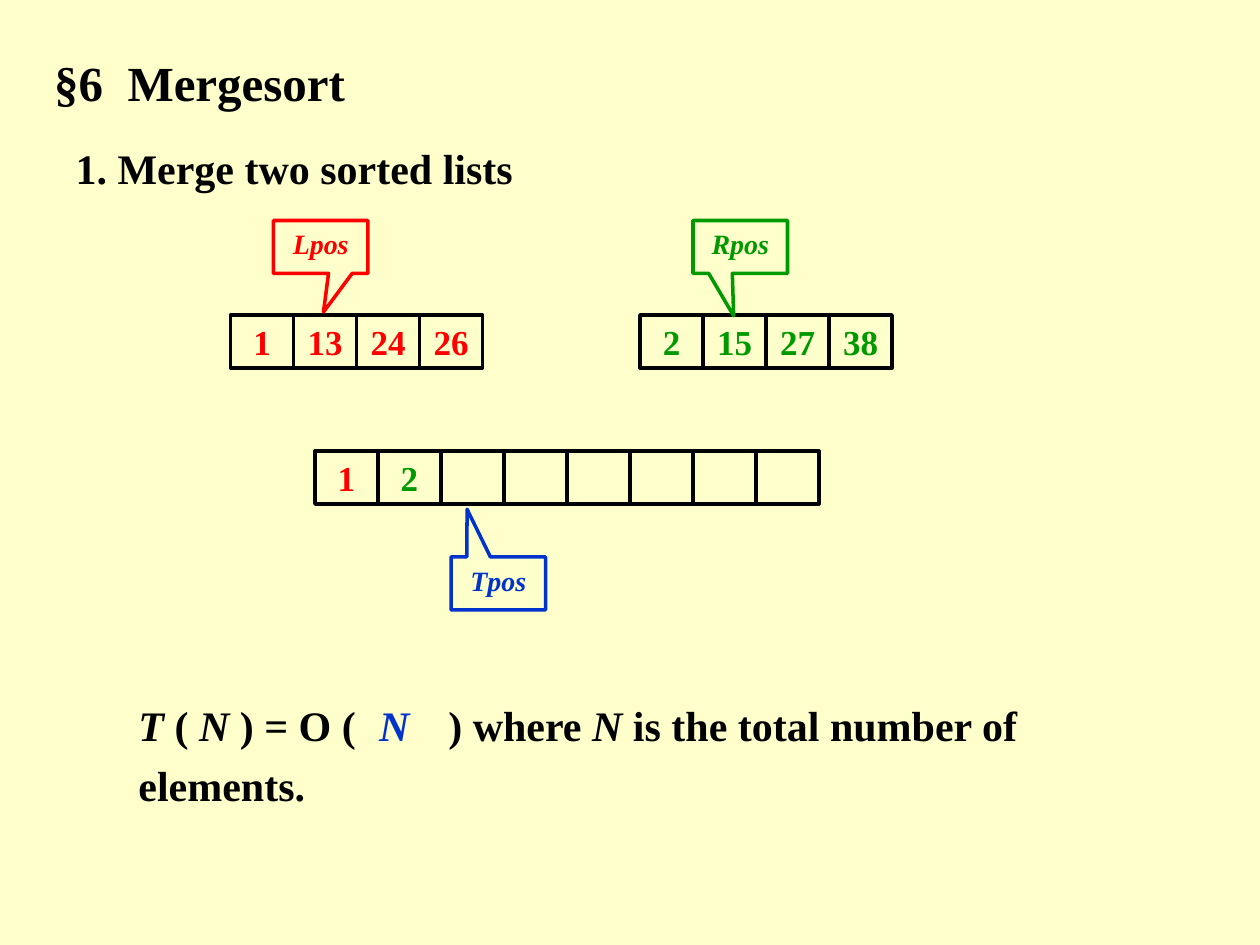
from lxml.etree import SubElement
from pptx import Presentation
from pptx.dml.color import RGBColor
from pptx.enum.shapes import MSO_SHAPE as Shape
from pptx.enum.text import MSO_ANCHOR as Anchor, MSO_AUTO_SIZE as AutoSize, PP_ALIGN as Align
from pptx.oxml.ns import qn
from pptx.util import Inches, Pt

FONT = "Times New Roman"
PAPER, BLACK, RED, GREEN, BLUE = "FFFFCC", "000000", "FF0000", "009900", "0033CC"
CELL_W, CELL_H = 0.5, 0.42

TITLE = "§6  Mergesort"
HEADING = "1. Merge two sorted lists"
# left, top, cells as (value, colour)
LISTS = [
    (1.83, 2.5, [(value, RED) for value in ("1", "13", "24", "26")]),
    (5.08, 2.5, [(value, GREEN) for value in ("2", "15", "27", "38")]),
    (2.5, 3.58, [("1", RED), ("2", GREEN)] + [("", BLACK)] * 6),
]
# label, colour, left, top, pointer tip relative to the callout's centre
POINTERS = [
    ("Lpos", RED, 2.17, 1.75, (0.03, 1.23)),
    ("Rpos", GREEN, 5.5, 1.75, (-0.07, 1.3)),
    ("Tpos", BLUE, 3.58, 4.42, (-0.33, -1.4)),
]
# text, italic, colour
COST = [
    ("T ", True, BLACK), ("( ", False, BLACK), ("N ", True, BLACK),
    (") = O (\t", False, BLACK), ("N", True, BLUE), ("\t) where ", False, BLACK),
    ("N", True, BLACK), (" is the total number of elements.", False, BLACK),
]
COST_TABS = (1.91, 2.46)


def rgb(colour):
    return RGBColor.from_string(colour)


def style(run, size, colour, italic=False):
    font = run.font
    font.name, font.size, font.bold, font.italic = FONT, Pt(size), True, italic
    font.color.rgb = rgb(colour)


def place(shape, left, top, width, height):
    shape.left, shape.top = Inches(left), Inches(top)
    shape.width, shape.height = Inches(width), Inches(height)


def fill_placeholder(holder, text, size, box):
    place(holder, *box)
    frame = holder.text_frame
    frame.text = text
    frame.vertical_anchor, frame.auto_size = Anchor.TOP, AutoSize.NONE
    frame.word_wrap = True
    paragraph = frame.paragraphs[0]
    paragraph.alignment, paragraph.line_spacing = Align.LEFT, 1.2
    paragraph.space_before = Pt(0)
    properties = paragraph._p.get_or_add_pPr()
    properties.set("marL", "0")
    properties.set("indent", "0")
    SubElement(properties, qn("a:buNone"))
    style(paragraph.runs[0], size, BLACK)


def add_outlined(shapes, kind, box, line_colour, text, size, colour, italic=False):
    shape = shapes.add_shape(kind, *map(Inches, box))
    shape.shadow.inherit = False
    shape.fill.background()
    shape.line.color.rgb = rgb(line_colour)
    shape.line.width = Pt(2)
    if text:
        shape.text_frame.text = text
        paragraph = shape.text_frame.paragraphs[0]
        paragraph.alignment = Align.CENTER
        style(paragraph.runs[0], size, colour, italic)
    return shape


def add_list(slide, left, top, cells):
    group = slide.shapes.add_group_shape()
    for i, (value, colour) in enumerate(cells):
        box = (left + i * CELL_W, top, CELL_W, CELL_H)
        cell = add_outlined(group.shapes, Shape.RECTANGLE, box, BLACK, value, 20, colour)
        cell.text_frame.vertical_anchor = Anchor.MIDDLE
        cell.text_frame.word_wrap = False


def add_pointer(slide, label, colour, left, top, tip):
    callout = add_outlined(slide.shapes, Shape.RECTANGULAR_CALLOUT,
                           (left, top, 0.75, 0.42), colour, label, 16, colour, True)
    callout.adjustments[0], callout.adjustments[1] = tip
    frame = callout.text_frame
    frame.vertical_anchor = Anchor.TOP
    frame.margin_left = frame.margin_right = Inches(0.02)


def add_cost(slide):
    frame = slide.shapes.add_textbox(*map(Inches, (1, 5.42, 7.75, 0.9))).text_frame
    frame.word_wrap = True
    paragraph = frame.paragraphs[0]
    paragraph.line_spacing = 1.2
    tabs = SubElement(paragraph._p.get_or_add_pPr(), qn("a:tabLst"))
    for position in COST_TABS:
        SubElement(tabs, qn("a:tab"), pos=str(Inches(position)), algn="l")
    for text, italic, colour in COST:
        run = paragraph.add_run()
        run.text = text
        style(run, 24, colour, italic)


def main():
    deck = Presentation()
    deck.slide_width, deck.slide_height = Inches(10), Inches(7.5)
    slide = deck.slides.add_slide(deck.slide_layouts[1])
    slide.background.fill.solid()
    slide.background.fill.fore_color.rgb = rgb(PAPER)

    fill_placeholder(slide.shapes.title, TITLE, 28, (0.33, 0.27, 3.17, 0.57))
    fill_placeholder(slide.placeholders[1], HEADING, 24, (0.5, 1, 3.92, 0.5))
    for row in LISTS:
        add_list(slide, *row)
    for pointer in POINTERS:
        add_pointer(slide, *pointer)
    add_cost(slide)
    deck.save("out.pptx")


if __name__ == "__main__":
    main()
